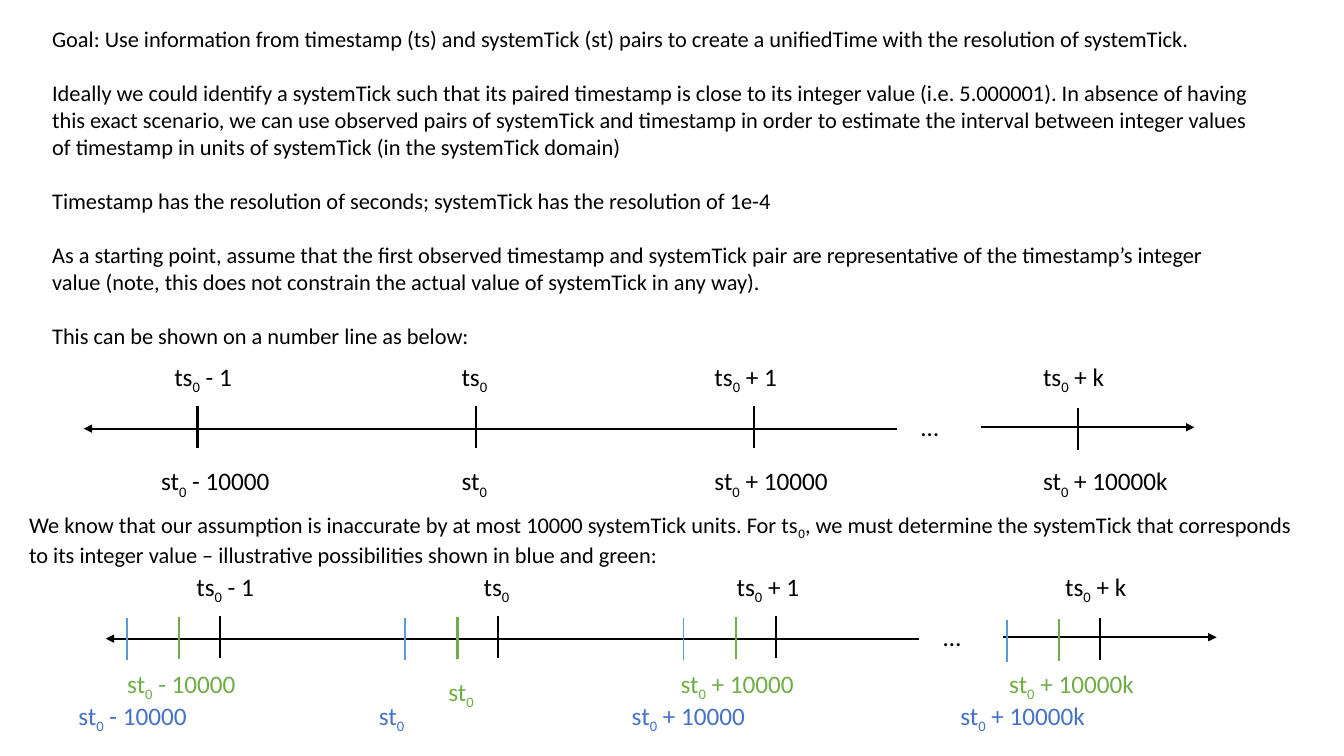
from lxml import etree
from pptx import Presentation
from pptx.dml.color import RGBColor
from pptx.enum.shapes import MSO_CONNECTOR
from pptx.enum.text import MSO_AUTO_SIZE
from pptx.oxml.ns import qn
from pptx.util import Pt

STRAIGHT = MSO_CONNECTOR.STRAIGHT
FIT_SHAPE = MSO_AUTO_SIZE.SHAPE_TO_FIT_TEXT
COLORS = {"black": "000000", "green": "70AD47", "blue": "4472C4", "light blue": "5B9BD5"}

GOAL_TEXT = [
    "Goal: Use information from timestamp (ts) and systemTick (st) pairs to create a "
    "unifiedTime with the resolution of systemTick.",
    "Ideally we could identify a systemTick such that its paired timestamp is close to its "
    "integer value (i.e. 5.000001). In absence of having this exact scenario, we can use "
    "observed pairs of systemTick and timestamp in order to estimate the interval between "
    "integer values of timestamp in units of systemTick (in the systemTick domain)",
    "Timestamp has the resolution of seconds; systemTick has the resolution of 1e-4",
    "As a starting point, assume that the first observed timestamp and systemTick pair are "
    "representative of the timestamp\u2019s integer value (note, this does not constrain the "
    "actual value of systemTick in any way).",
    "This can be shown on a number line as below:",
]
ASSUMPTION = (
    "We know that our assumption is inaccurate by at most 10000 systemTick units. For ts",
    ", we must determine the systemTick that corresponds to its integer value \u2013 "
    "illustrative possibilities shown in blue and green:",
)

# Number line geometry: the last tick sits on the part after the ellipsis
TICK_XS = [141.1, 339.8, 538.6, 769.7]
TICK_DROPS = [0, 0, 0, 1.2]
TICK_HEIGHT = 30
TS_LABELS = [(117.4, 64, " - 1"), (322.6, 54, ""), (503.3, 78, " + 1"), (738, 78, " + k")]
ST_LABELS = [(108, 100, " - 10000"), (322.6, 54, ""),
             (503.3, 100, " + 10000"), (738, 115, " + 10000k")]


class SlideBuilder:
    font = "Calibri"

    def __init__(self, page):
        self.page = page

    def text(self, left, top, width, height, paragraphs, size=18, color="black", gap=0):
        """Each paragraph is a list of (text, is_subscript) spans."""
        box = self.page.shapes.add_textbox(Pt(left), Pt(top), Pt(width), Pt(height))
        frame = box.text_frame
        frame.word_wrap = True
        frame.auto_size = FIT_SHAPE
        for index, spans in enumerate(paragraphs):
            para = frame.add_paragraph() if index else frame.paragraphs[0]
            para.space_before = Pt(gap if index else 0)
            para.font.name = self.font
            para.font.size = Pt(size)
            para.font.color.rgb = RGBColor.from_string(COLORS[color])
            for text, is_subscript in spans:
                span = para.add_run()
                span.text = text
                if is_subscript:
                    span._r.get_or_add_rPr().set("baseline", "-25000")

    def indexed(self, left, top, width, height, before, after, **style):
        """Text with a subscript zero inside."""
        spans = [(before, False), ("0", True)]
        if after:
            spans.append((after, False))
        self.text(left, top, width, height, [spans], **style)

    def labels(self, name, places, top, shift=0, color="black"):
        for left, width, suffix in places:
            self.indexed(left + shift, top, width, 29, name, suffix, color=color)

    def line(self, x1, y1, x2, y2, color="black", weight=1.5, arrow=False):
        line = self.page.shapes.add_connector(STRAIGHT, Pt(x1), Pt(y1), Pt(x2), Pt(y2))
        line.line.color.rgb = RGBColor.from_string(COLORS[color])
        line.line.width = Pt(weight)
        if arrow:
            etree.SubElement(line.line._get_or_add_ln(), qn("a:tailEnd"), type="triangle")
        etree.SubElement(line._element.spPr, qn("a:effectLst"))

    def ticks(self, top, shift=0, color="black", weight=1.5):
        for x, drop in zip(TICK_XS, TICK_DROPS):
            y = top + drop
            self.line(x + shift, y, x + shift, y + TICK_HEIGHT, color, weight)

    def number_line(self, top, shift=0):
        self.ticks(top, shift)
        self.line(640.8 + shift, top + 16, 59.8 + shift, top + 16, arrow=True)
        self.line(700.6 + shift, top + 15, 853.2 + shift, top + 15, arrow=True)
        self.text(650.9 + shift, top, 41, 29, [[("\u2026", False)]])
        self.labels("ts", TS_LABELS, top - 36, shift)


deck = Presentation()
deck.slide_width, deck.slide_height = Pt(960), Pt(540)
slide = SlideBuilder(deck.slides.add_slide(deck.slide_layouts[6]))

# Goal and starting point
slide.text(30.2, 14.4, 873.4, 240, [[(text, False)] for text in GOAL_TEXT], size=16, gap=19.4)

# Number line of the first assumption
slide.number_line(290.2)
slide.labels("st", ST_LABELS, 329)

# Limits of the assumption
slide.indexed(13.7, 361.4, 922.3, 46, *ASSUMPTION, size=16)

# Number line with the green and blue possibilities
SHIFT = 15.8
slide.number_line(440.2, SHIFT)
slide.labels("st", ST_LABELS[:1] + ST_LABELS[2:], 473.8, -24.2, "green")
slide.labels("st", ST_LABELS[1:2], 479.5, -9.4, "green")
slide.labels("st", ST_LABELS, 496.8, -59.1, "blue")
slide.ticks(441.6, SHIFT - 66.2, "light blue", 1)
slide.ticks(440.9, SHIFT - 28.8, "green")

deck.save("out.pptx")
